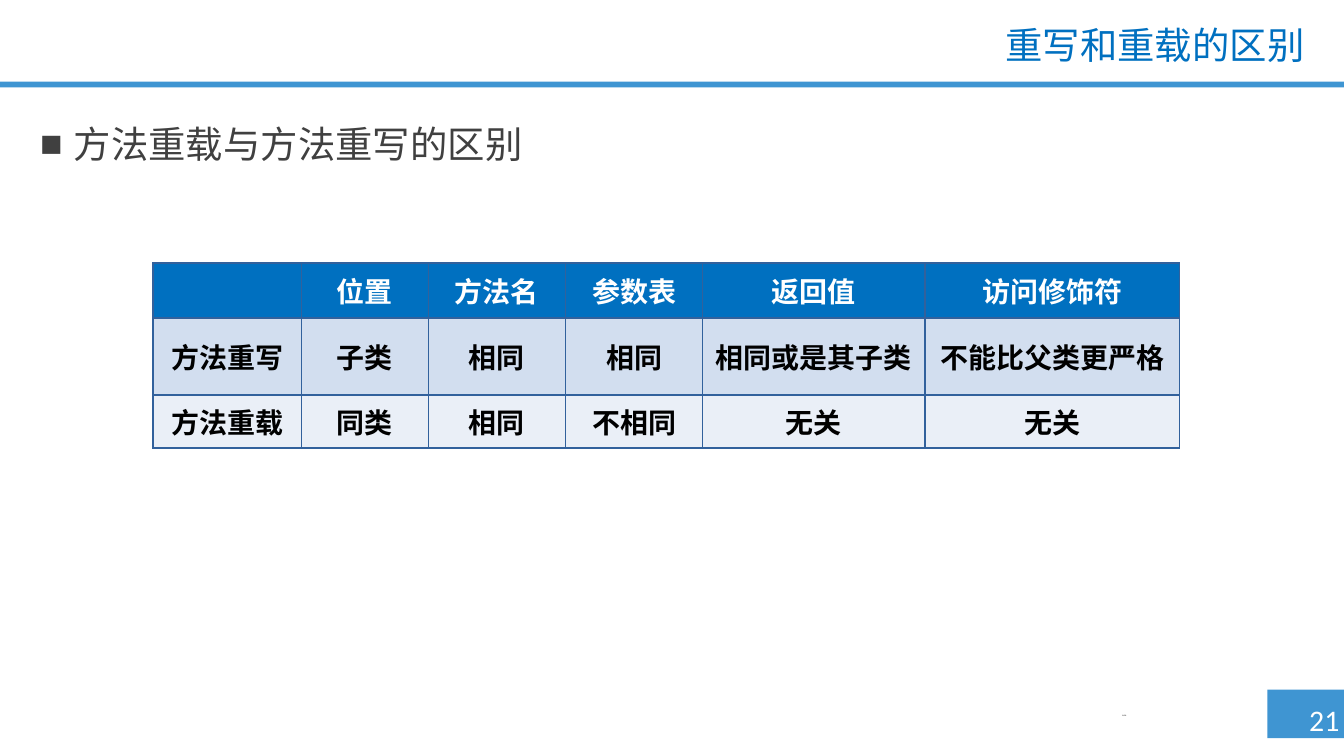
from lxml import etree
from pptx import Presentation
from pptx import util as u
from pptx.dml.color import RGBColor
from pptx.enum import shapes, text
from pptx.oxml.ns import qn

Pt = u.Pt
SANS = "Noto Sans CJK SC"
BLUE, ACCENT, BORDER = "0070C0", "3F95D2", "32619C"
ROW_FILLS = [BLUE, "D2DEEF", "EAEFF7"]
COL_WIDTHS = [79.5, 68, 73.5, 73.5, 119, 136.5]
ROW_HEIGHTS = [29.5, 41, 28.5]
ROWS = [
    ["", "位置", "方法名", "参数表", "返回值", "访问修饰符"],
    ["方法重写", "子类", "相同", "相同", "相同或是其子类", "不能比父类更严格"],
    ["方法重载", "同类", "相同", "不相同", "无关", "无关"],
]


def rgb(value):
    return RGBColor.from_string(value)


def add_run(p, words, size, font, color, bold=False):
    r = p.add_run()
    r.text = words
    r.font.size = Pt(size)
    r.font.name = font
    r.font.bold = bold
    r.font.color.rgb = rgb(color)
    etree.SubElement(r.font._element, qn("a:ea"), typeface=SANS)


def add_bar(s, x, y, w, h):
    sp = s.shapes.add_shape(shapes.MSO_SHAPE.RECTANGLE, Pt(x), Pt(y), Pt(w), Pt(h))
    sp.shadow.inherit = False
    sp.fill.solid()
    sp.fill.fore_color.rgb = rgb(ACCENT)
    sp.line.fill.background()


def add_text(s, box, words, size, font, color, align=text.PP_ALIGN.LEFT,
             anchor=text.MSO_ANCHOR.TOP, wrap=True):
    tf = s.shapes.add_textbox(*map(Pt, box)).text_frame
    tf.word_wrap = wrap
    tf.vertical_anchor = anchor
    p = tf.paragraphs[0]
    p.alignment = align
    add_run(p, words, size, font, color)
    return p


def add_bullet(p, char, indent):
    pPr = p._p.get_or_add_pPr()
    pPr.set("marL", str(Pt(indent)))
    pPr.set("indent", str(-Pt(indent)))
    etree.SubElement(pPr, qn("a:buFont"), typeface="Arial")
    etree.SubElement(pPr, qn("a:buChar"), char=char)


def set_borders(cell, color, width):
    tcPr = cell._tc.get_or_add_tcPr()
    for i, side in enumerate(("a:lnL", "a:lnR", "a:lnT", "a:lnB")):
        ln = etree.Element(qn(side), w=str(Pt(width)))
        fill = etree.SubElement(ln, qn("a:solidFill"))
        etree.SubElement(fill, qn("a:srgbClr"), val=color)
        tcPr.insert(i, ln)


def fill_cell(cell, words, font, color, fill):
    cell.fill.solid()
    cell.fill.fore_color.rgb = rgb(fill)
    cell.vertical_anchor = text.MSO_ANCHOR.MIDDLE
    cell.margin_left = cell.margin_right = Pt(5)
    cell.margin_top = cell.margin_bottom = Pt(2.9)
    set_borders(cell, BORDER, 1)
    if words:
        p = cell.text_frame.paragraphs[0]
        p.alignment = text.PP_ALIGN.CENTER
        add_run(p, words, 15, font, color, bold=True)


def add_comparison(s, x, y):
    frame = s.shapes.add_table(len(ROWS), len(COL_WIDTHS), Pt(x), Pt(y),
                               Pt(sum(COL_WIDTHS)), Pt(sum(ROW_HEIGHTS)))
    table = frame.table
    for col, width in zip(table.columns, COL_WIDTHS):
        col.width = Pt(width)
    for i, (row, height) in enumerate(zip(table.rows, ROW_HEIGHTS)):
        row.height = Pt(height)
        font, color = ("Arial", "000000") if i else (SANS, "FFFFFF")
        for cell, words in zip(row.cells, ROWS[i]):
            fill_cell(cell, words, font, color, ROW_FILLS[i])


def main():
    prs = Presentation()
    prs.slide_width, prs.slide_height = Pt(720), Pt(405)
    s = prs.slides.add_slide(prs.slide_layouts[6])

    add_bar(s, 679, 369.5, 41, 26)
    add_bar(s, 0, 43.8, 720, 3)
    add_text(s, (692.5, 372.5, 37.5, 26.5), "21 ", 16, "Calibri", "FFFFFF",
             text.PP_ALIGN.CENTER, wrap=False)
    p = add_text(s, (173, 10.8, 533, 29), "重写和重载的区别", 20, "Arial", BLUE,
                 text.PP_ALIGN.RIGHT, text.MSO_ANCHOR.MIDDLE)
    p.line_spacing = 0.9

    p = add_text(s, (14.4, 60.5, 680.5, 294.5), "方法重载与方法重写的区别", 20, SANS, "404040")
    p.line_spacing = Pt(25)
    p.space_before = Pt(10)
    add_bullet(p, "■", 18)

    add_text(s, (594, 379.5, 126, 21.5), "21/38", 1, "Calibri", "000000")
    add_comparison(s, 82, 141)
    prs.save("out.pptx")


if __name__ == "__main__":
    main()
